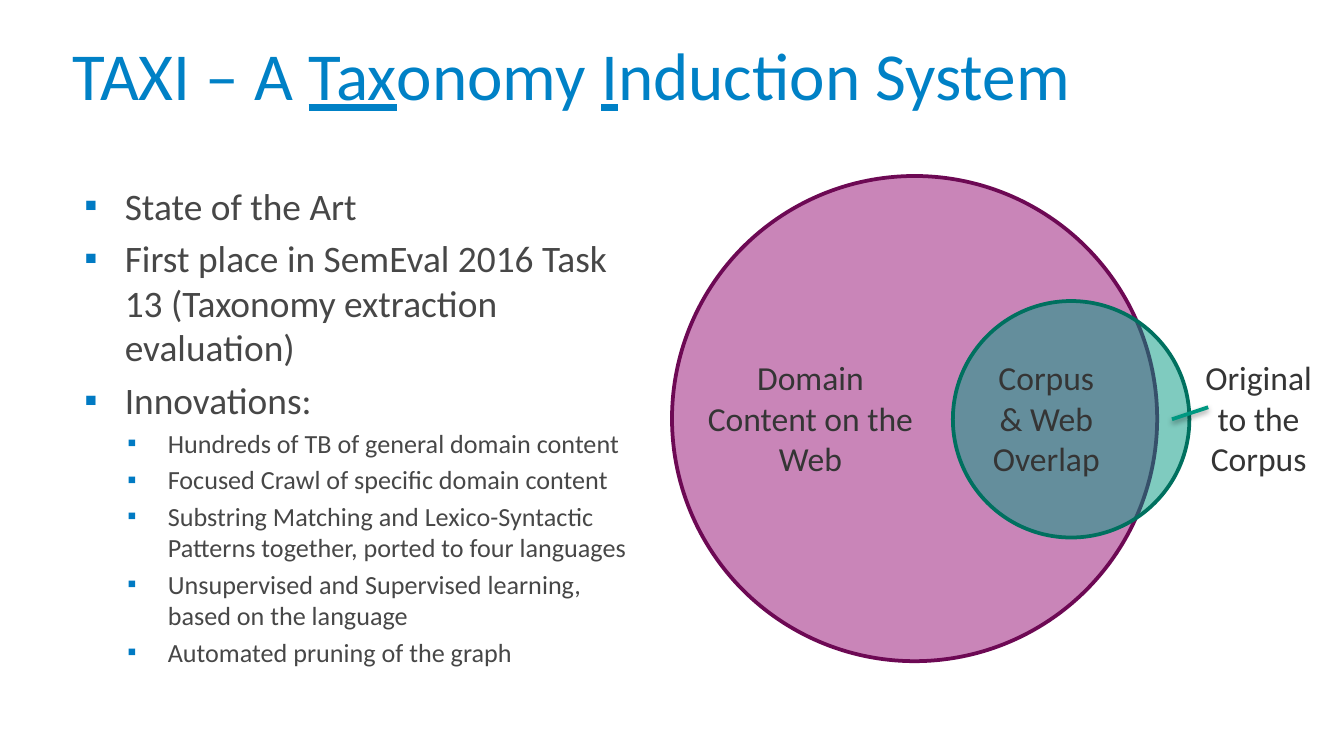
from lxml.etree import SubElement
from pptx import Presentation
from pptx.dml.color import RGBColor
from pptx.enum.shapes import MSO_CONNECTOR, MSO_SHAPE
from pptx.enum.text import MSO_ANCHOR as Anchor, MSO_AUTO_SIZE as AutoSize, PP_ALIGN as Align
from pptx.oxml.ns import qn
from pptx.util import Inches, Pt

FONT = "Calibri"
COLORS = {
    "title": "0081C6", "body": "474747", "bullet": "007AC3", "label": "353535",
    "web": "940C72", "web_edge": "6D0954",
    "corpus": "009881", "corpus_edge": "00705F", "shadow": "000000",
}
TITLE_PARTS = [("TAXI – A ", False), ("Tax", True), ("onomy ", False),
               ("I", True), ("nduction System", False)]
POINTS = [
    (0, "State of the Art"),
    (0, "First place in SemEval 2016 Task 13 (Taxonomy extraction evaluation)"),
    (0, "Innovations:"),
    (1, "Hundreds of TB of general domain content"),
    (1, "Focused Crawl of specific domain content"),
    (1, "Substring Matching and Lexico-Syntactic Patterns together, ported to four languages"),
    (1, "Unsupervised and Supervised learning, based on the language"),
    (1, "Automated pruning of the graph"),
]
# Text size and left indent of each list level
LEVELS = [(20, 0.33), (14, 0.65)]
# Left edge, width and lines of each diagram label
LABELS = [
    (5.12, 1.82, ["Domain Content on the Web"]),
    (7.23, 1.11, ["Corpus", "& Web", "Overlap"]),
    (8.81, 1.11, ["Original to the Corpus"]),
]


def rgb(name):
    return RGBColor.from_string(COLORS[name])


def write(paragraph, text, size, color, underline=False):
    run = paragraph.add_run()
    run.text = text
    font = run.font
    font.name, font.size, font.underline = FONT, Pt(size), underline
    font.color.rgb = rgb(color)


def add_text_frame(slide, left, top, width, height):
    box = slide.shapes.add_textbox(Inches(left), Inches(top), Inches(width), Inches(height))
    box.text_frame.word_wrap = True
    return box.text_frame


def next_paragraph(frame, index):
    return frame.add_paragraph() if index else frame.paragraphs[0]


def add_bullet(paragraph, indent):
    props = paragraph._p.get_or_add_pPr()
    props.set("marL", str(Inches(indent)))
    props.set("indent", str(Inches(-0.3)))
    color = SubElement(props, qn("a:buClr"))
    SubElement(color, qn("a:srgbClr"), val=COLORS["bullet"])
    SubElement(props, qn("a:buFont"), typeface="Arial")
    SubElement(props, qn("a:buChar"), char="▪")


def fill_title(slide):
    title = slide.shapes.title
    title.left, title.top = Inches(0.44), Inches(0.08)
    title.width, title.height = Inches(9.16), Inches(0.94)
    frame = title.text_frame
    frame.auto_size = AutoSize.NONE
    frame.vertical_anchor = Anchor.MIDDLE
    heading = frame.paragraphs[0]
    heading.alignment = Align.LEFT
    for text, underline in TITLE_PARTS:
        write(heading, text, 36, "title", underline)


def add_points(slide):
    frame = add_text_frame(slide, 0.5, 1.31, 4.42, 3.61)
    for index, (level, text) in enumerate(POINTS):
        size, indent = LEVELS[level]
        point = next_paragraph(frame, index)
        point.level = level
        add_bullet(point, indent)
        if index:
            point.space_before = Pt(size * 0.2)
        write(point, text, size, "body")


def add_circle(slide, left, top, diameter, color):
    circle = slide.shapes.add_shape(MSO_SHAPE.OVAL, Inches(left), Inches(top),
                                    Inches(diameter), Inches(diameter))
    circle.shadow.inherit = False
    circle.fill.solid()
    circle.fill.fore_color.rgb = rgb(color)
    fill_color = circle._element.spPr.find(qn("a:solidFill")).find(qn("a:srgbClr"))
    SubElement(fill_color, qn("a:alpha"), val="50000")
    circle.line.color.rgb = rgb(color + "_edge")
    circle.line.width = Pt(2)


def add_label(slide, left, width, lines):
    frame = add_text_frame(slide, left, 2.61, width, 1.01)
    frame.auto_size = AutoSize.SHAPE_TO_FIT_TEXT
    for index, text in enumerate(lines):
        line = next_paragraph(frame, index)
        line.alignment = Align.CENTER
        write(line, text, 18, "label")


def add_pointer(slide, start, end):
    pointer = slide.shapes.add_connector(MSO_CONNECTOR.STRAIGHT,
                                         *(Inches(value) for value in start + end))
    pointer.line.color.rgb = rgb("corpus")
    pointer.line.width = Pt(2)
    # Soft shadow straight below the line
    effects = SubElement(pointer._element.spPr, qn("a:effectLst"))
    shadow = SubElement(effects, qn("a:outerShdw"), blurRad=str(Pt(3.1)),
                        dist=str(Pt(1.6)), dir="5400000", rotWithShape="0")
    color = SubElement(shadow, qn("a:srgbClr"), val=COLORS["shadow"])
    SubElement(color, qn("a:alpha"), val="38000")


def main():
    # Widescreen 16:9 page
    deck = Presentation()
    deck.slide_width = Inches(10)
    deck.slide_height = Inches(10) * 9 // 16
    slide = deck.slides.add_slide(deck.slide_layouts[5])

    # Title and list
    fill_title(slide)
    add_points(slide)

    # Overlapping circles with their labels
    add_circle(slide, 5, 1.31, 3.61, "web")
    add_circle(slide, 7.09, 2.24, 1.76, "corpus")
    for left, width, lines in LABELS:
        add_label(slide, left, width, lines)
    add_pointer(slide, (8.72, 3.12), (8.99, 3.03))

    deck.save("out.pptx")


if __name__ == "__main__":
    main()
